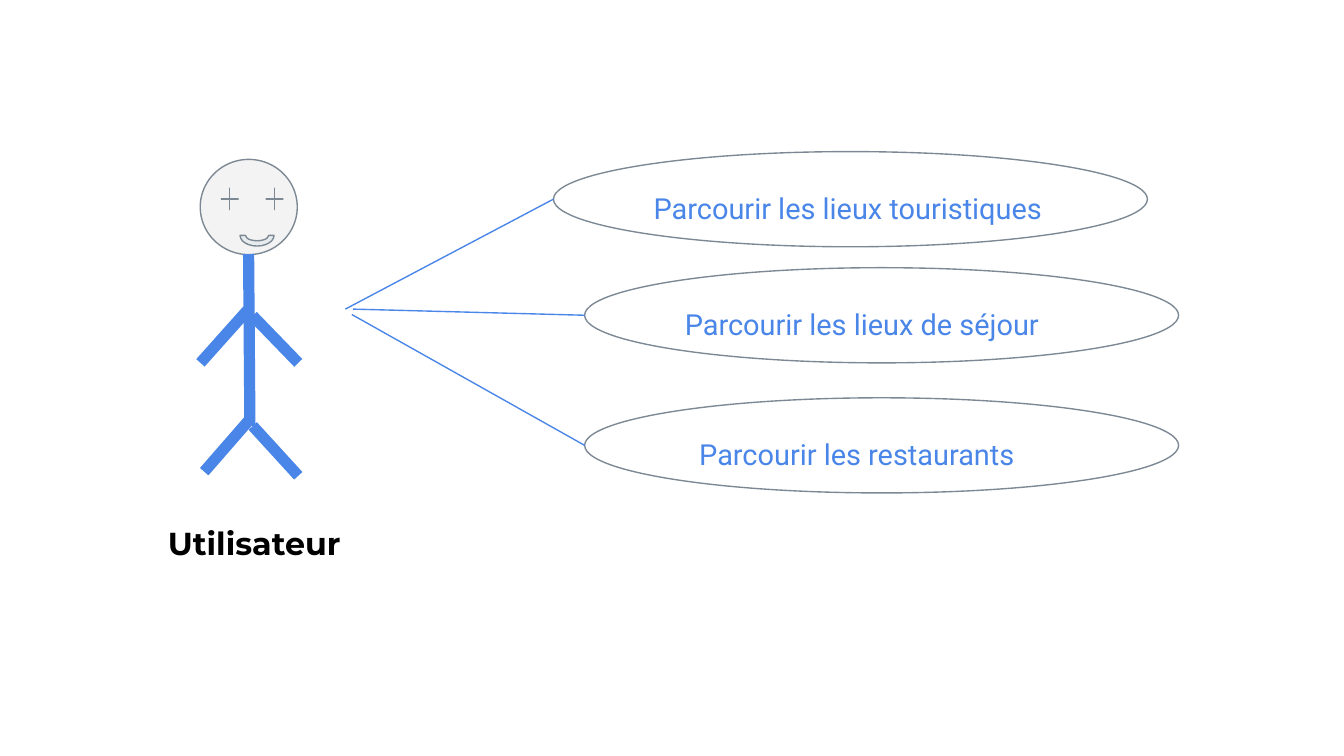
from dataclasses import dataclass

from pptx import Presentation
from pptx.dml.color import RGBColor
from pptx.enum.shapes import MSO_CONNECTOR, MSO_SHAPE
from pptx.enum.text import MSO_ANCHOR, MSO_AUTO_SIZE, PP_ALIGN
from pptx.oxml.ns import qn
from pptx.util import Pt


@dataclass(frozen=True)
class Theme:
    """Colours, fonts and sizes of the slide."""
    blue: str = "4A86E8"
    outline: str = "7C8894"
    face: str = "F3F3F3"
    feature: str = "E6ECEE"
    white: str = "FFFFFF"
    black: str = "000000"
    case_font: str = "Roboto"
    actor_font: str = "Montserrat"
    case_size: float = 15.5
    actor_size: float = 17
    thin: float = 0.75
    limb: float = 6
    inset: float = 7.2


THEME = Theme()

# Use cases: text, left, top, fill, text indent, start of the link
USE_CASES = [
    ("Parcourir les lieux touristiques", 296.5, 81.2, THEME.white, 0, (185, 165.6)),
    ("Parcourir les lieux de séjour", 313.2, 143.4, None, 0, (189.2, 165.6)),
    ("Parcourir les restaurants", 313.2, 213.1, None, 7.7, (188.5, 168.5)),
]
CASE_WIDTH, CASE_HEIGHT = 318.2, 51

ACTOR = "Utilisateur"
ACTOR_BOX = (82.8, 273.6, 130.3, 35.3)
HEAD = (107.3, 85.4, 52, 51)
EYES = [(118.6, THEME.white), (142.6, THEME.feature)]
EYE_TOP, EYE_WIDTH, EYE_HEIGHT = 100.8, 9, 11.5
MOUTH = (128.6, 120.4, 18.2, 11.4)
LIMBS = {
    "body": ((133.2, 136.1), (133.9, 228.2)),
    "left arm": ((132.5, 166.3), (107.4, 194.4)),
    "right arm": ((135.4, 169.2), (159.8, 194.4)),
    "left leg": ((133.9, 224.6), (109.4, 252.7)),
    "right leg": ((135.4, 228.2), (159.8, 254.9)),
}


def color(value):
    """Turn a hex string into a colour."""
    return RGBColor.from_string(value)


def add_figure(slide, preset, box, fill=None, adjustments=()):
    """Add a thinly outlined preset shape."""
    figure = slide.shapes.add_shape(preset, *map(Pt, box))
    figure.shadow.inherit = False
    if fill:
        figure.fill.solid()
        figure.fill.fore_color.rgb = color(fill)
    else:
        figure.fill.background()
    figure.line.color.rgb = color(THEME.outline)
    figure.line.width = Pt(THEME.thin)
    for index, value in enumerate(adjustments):
        figure.adjustments[index] = value
    return figure


def add_line(slide, start, end, width):
    """Add a straight blue line between two points."""
    line = slide.shapes.add_connector(
        MSO_CONNECTOR.STRAIGHT, *map(Pt, (*start, *end)))
    line.line.color.rgb = color(THEME.blue)
    line.line.width = Pt(width)
    properties = line._element.spPr
    properties.append(properties.makeelement(qn("a:effectLst"), {}))


def write(frame, text, *, font, size, ink, bold=False, spacing=None,
          indent=0, anchor=MSO_ANCHOR.TOP):
    """Write one left-aligned paragraph into a text frame."""
    frame.word_wrap = True
    frame.vertical_anchor = anchor
    frame.margin_left = frame.margin_right = Pt(THEME.inset)
    frame.margin_top = frame.margin_bottom = Pt(THEME.inset)
    paragraph = frame.paragraphs[0]
    paragraph.alignment = PP_ALIGN.LEFT
    if spacing:
        paragraph.line_spacing = spacing
    if indent:
        paragraph._p.get_or_add_pPr().set("marL", str(Pt(indent)))
    run = paragraph.add_run()
    run.text = text
    run.font.name = font
    run.font.size = Pt(size)
    run.font.bold = bold
    run.font.color.rgb = color(ink)


def add_actor(slide):
    """Draw the stick figure and its label."""
    add_figure(slide, MSO_SHAPE.OVAL, HEAD, THEME.face)
    for start, end in LIMBS.values():
        add_line(slide, start, end, THEME.limb)
    for left, fill in EYES:
        add_figure(slide, MSO_SHAPE.STAR_4_POINT,
                   (left, EYE_TOP, EYE_WIDTH, EYE_HEIGHT), fill, [0])
    mouth = add_figure(slide, MSO_SHAPE.BLOCK_ARC, MOUTH, THEME.feature,
                       [108, 0, 0.25])
    mouth.rotation = 180
    label = slide.shapes.add_textbox(*map(Pt, ACTOR_BOX)).text_frame
    write(label, ACTOR, font=THEME.actor_font, size=THEME.actor_size,
          ink=THEME.black, bold=True)
    label.auto_size = MSO_AUTO_SIZE.SHAPE_TO_FIT_TEXT


def add_use_case(slide, text, left, top, fill, indent, link_start):
    """Draw a use case and the link that reaches its left edge."""
    oval = add_figure(slide, MSO_SHAPE.OVAL,
                      (left, top, CASE_WIDTH, CASE_HEIGHT), fill)
    write(oval.text_frame, text, font=THEME.case_font, size=THEME.case_size,
          ink=THEME.blue, spacing=1.5, indent=indent, anchor=MSO_ANCHOR.MIDDLE)
    add_line(slide, link_start, (left, top + CASE_HEIGHT / 2), THEME.thin)


def main():
    """Build and save the slide."""
    deck = Presentation()
    deck.slide_width, deck.slide_height = Pt(720), Pt(405)
    slide = deck.slides.add_slide(deck.slide_layouts[6])
    add_actor(slide)
    for use_case in USE_CASES:
        add_use_case(slide, *use_case)
    deck.save("out.pptx")


main()
